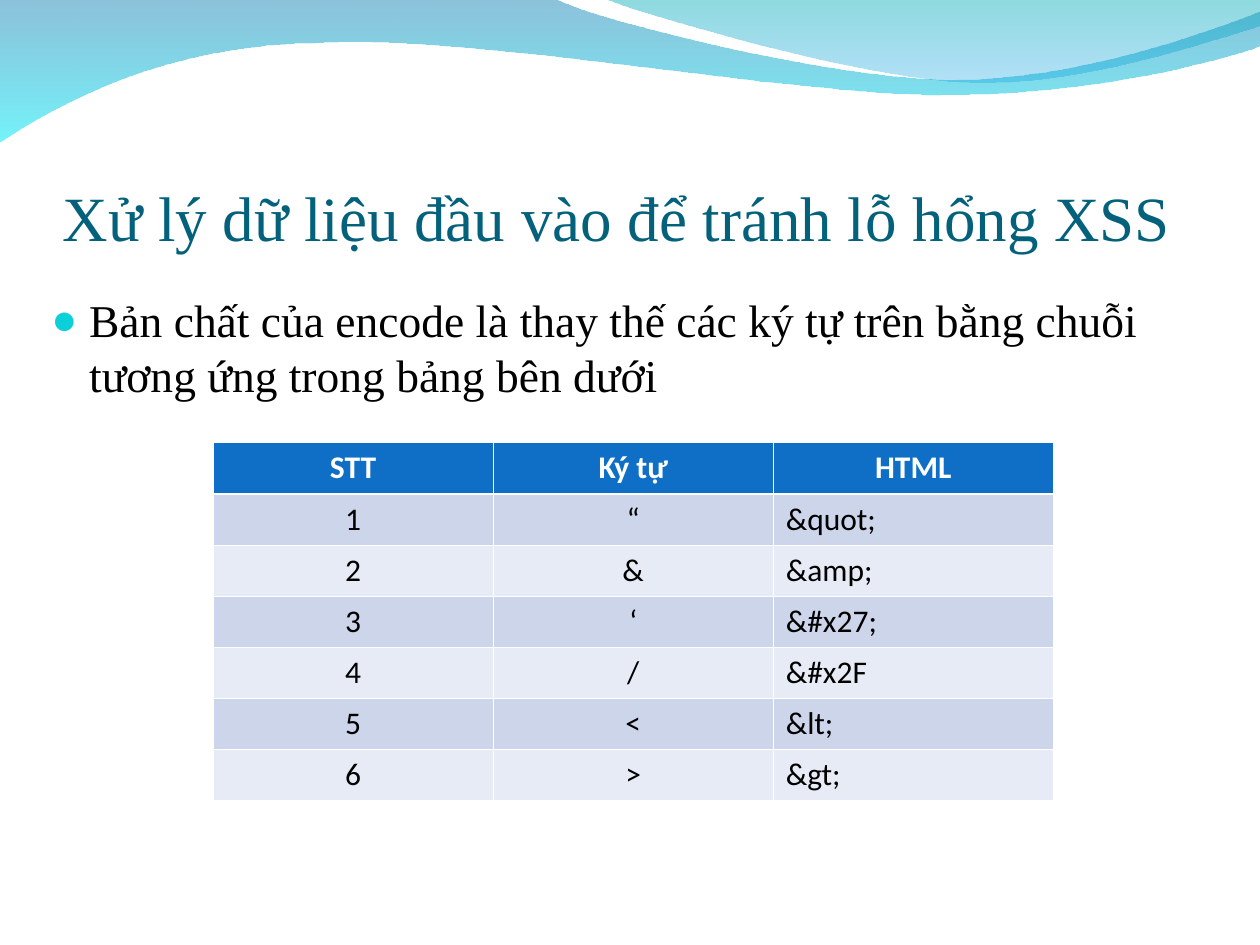
from lxml.etree import SubElement
from pptx import Presentation
from pptx.dml.color import RGBColor
from pptx.enum.text import MSO_ANCHOR, PP_ALIGN
from pptx.oxml.ns import qn
from pptx.util import Inches, Pt

TITLE_TEAL = RGBColor(0x04, 0x61, 0x7B)
BULLET_CYAN = RGBColor(0x0B, 0xD0, 0xD9)
HEADER_BLUE = RGBColor(0x0F, 0x6F, 0xC6)
BAND_DARK = RGBColor(0xCC, 0xD5, 0xEA)
BAND_LIGHT = RGBColor(0xE7, 0xEB, 0xF5)
WHITE = RGBColor(0xFF, 0xFF, 0xFF)
BLACK = RGBColor(0x00, 0x00, 0x00)
WAVE_BLUE = RGBColor(0x00, 0x79, 0xAF)
WAVE_AQUA = RGBColor(0x00, 0xEB, 0xF8)
WAVE_GREEN = RGBColor(0x00, 0xAD, 0xB6)
WAVE_SKY = RGBColor(0x00, 0x9B, 0xE5)

SERIF, SANS = "Times New Roman", "Calibri"

# Each wave: outline relative to the slide's corner (2 numbers: a line,
# 6 numbers: a Bézier curve) and gradient stops as (colour, opacity %)
WAVES = [
    ([(0, -0.01), (4.4, -0.01),
      (4.76, 0.17, 6.64, 0.63, 7.58, 0.63),
      (8.53, 0.63, 9.58, 0.26, 10, 0.09), (10.01, 0.36),
      (9.83, 0.44, 8.7, 0.76, 7.46, 0.75),
      (6.22, 0.75, 3.82, 0.28, 2.57, 0.34),
      (1.29, 0.35, 0.46, 0.83, -0.01, 1.13)],
     [(WAVE_BLUE, 45), (WAVE_AQUA, 55)]),
    ([(4.79, -0.01),
      (5.09, 0.11, 6.82, 0.62, 7.69, 0.65),
      (8.56, 0.69, 9.61, 0.32, 10, 0.21), (10, 0)],
     [(WAVE_GREEN, 45), (WAVE_SKY, 30)]),
]

ROWS = [
    ("STT", "Ký tự", "HTML"),
    ("1", "“", "&quot;"),
    ("2", "&", "&amp;"),
    ("3", "‘", "&#x27;"),
    ("4", "/", "&#x2F"),
    ("5", "<", "&lt;"),
    ("6", ">", "&gt;"),
]


def bend_lines(wave, segments):
    """Join the three lines drawn for each curve into one Bézier curve."""
    lines = iter(list(wave._element.spPr.iter(qn("a:lnTo"))))
    for segment in segments:
        parts = [next(lines) for _ in range(len(segment) // 2)]
        if len(parts) == 3:
            curve = parts[0].makeelement(qn("a:cubicBezTo"))
            parts[0].addprevious(curve)
            for part in parts:
                curve.append(part[0])
                part.getparent().remove(part)


def add_waves(slide, left, top):
    for outline, stops in WAVES:
        points = [(left + Inches(s[i]), top + Inches(s[i + 1]))
                  for s in outline for i in range(0, len(s), 2)]
        builder = slide.shapes.build_freeform(*points[0])
        builder.add_line_segments(points[1:], close=True)
        wave = builder.convert_to_shape()
        bend_lines(wave, outline[1:])
        wave.shadow.inherit = False
        wave.line.fill.background()
        wave.fill.gradient()
        wave.fill.gradient_angle = 270
        for stop, position, (colour, _) in zip(wave.fill.gradient_stops, (0, 1), stops):
            stop.color.rgb = colour
            stop.position = position
        colours = wave._element.spPr.iter(qn("a:srgbClr"))
        for colour, (_, opacity) in zip(list(colours), stops):
            SubElement(colour, qn("a:alpha"), val=str(opacity * 1000))


def add_run(paragraph, text, font, size, colour, bold=False):
    run = paragraph.add_run()
    run.text = text
    run.font.name = font
    run.font.size = Pt(size)
    run.font.color.rgb = colour
    run.font.bold = bold


def add_title(slide, left, top, width, height):
    frame = slide.shapes.add_textbox(left, top, width, height).text_frame
    frame.word_wrap = True
    frame.vertical_anchor = MSO_ANCHOR.BOTTOM
    frame.margin_left = frame.margin_right = frame.margin_bottom = 0
    add_run(frame.paragraphs[0], "Xử lý dữ liệu đầu vào để tránh lỗ hổng XSS",
            SERIF, 36, TITLE_TEAL)


def add_body(slide, left, top, width, height):
    frame = slide.shapes.add_textbox(left, top, width, height).text_frame
    frame.word_wrap = True
    paragraph = frame.paragraphs[0]
    # Hanging round bullet
    properties = paragraph._p.get_or_add_pPr()
    properties.set("marL", str(Inches(0.3)))
    properties.set("indent", str(-Inches(0.3)))
    bullet_colour = SubElement(properties, qn("a:buClr"))
    SubElement(bullet_colour, qn("a:srgbClr"), val=str(BULLET_CYAN))
    SubElement(properties, qn("a:buSzPct"), val="95000")
    SubElement(properties, qn("a:buFont"), typeface=SERIF)
    SubElement(properties, qn("a:buChar"), char="●")
    add_run(paragraph,
            "Bản chất của encode là thay thế các ký tự trên bằng chuỗi "
            "tương ứng trong bảng bên dưới", SERIF, 26, BLACK)


def set_borders(cell, top, bottom):
    properties = cell._tc.get_or_add_tcPr()
    for side, points in (("L", 0.45), ("R", 0.45), ("T", top), ("B", bottom)):
        border = SubElement(properties, qn(f"a:ln{side}"), w=str(Pt(points)))
        fill = SubElement(border, qn("a:solidFill"))
        SubElement(fill, qn("a:srgbClr"), val=str(WHITE))


def add_encoding_table(slide, left, top, width, height):
    table = slide.shapes.add_table(len(ROWS), len(ROWS[0]), left, top, width, height).table
    header_height = Inches(0.41)
    row_height = (height - header_height) // (len(ROWS) - 1)
    for r, values in enumerate(ROWS):
        header = r == 0
        table.rows[r].height = header_height if header else row_height
        band = HEADER_BLUE if header else BAND_DARK if r % 2 else BAND_LIGHT
        for c, value in enumerate(values):
            cell = table.cell(r, c)
            set_borders(cell, 1.47 if r == 1 else 0.45, 1.47 if header else 0.45)
            cell.fill.solid()
            cell.fill.fore_color.rgb = band
            paragraph = cell.text_frame.paragraphs[0]
            paragraph.alignment = PP_ALIGN.CENTER if header or c < 2 else PP_ALIGN.LEFT
            add_run(paragraph, value, SANS, 18, WHITE if header else BLACK, header)


def main():
    deck = Presentation()
    deck.slide_width, deck.slide_height = Inches(10), Inches(7.5)
    slide = deck.slides.add_slide(deck.slide_layouts[6])
    add_waves(slide, Inches(0), Inches(0))
    add_title(slide, Inches(0.5), Inches(0.77), Inches(9), Inches(1.25))
    add_body(slide, Inches(0.31), Inches(2.27), Inches(9.34), Inches(5.23))
    add_encoding_table(slide, Inches(1.69), Inches(3.51), Inches(6.67), Inches(2.84))
    deck.save("out.pptx")


if __name__ == "__main__":
    main()
